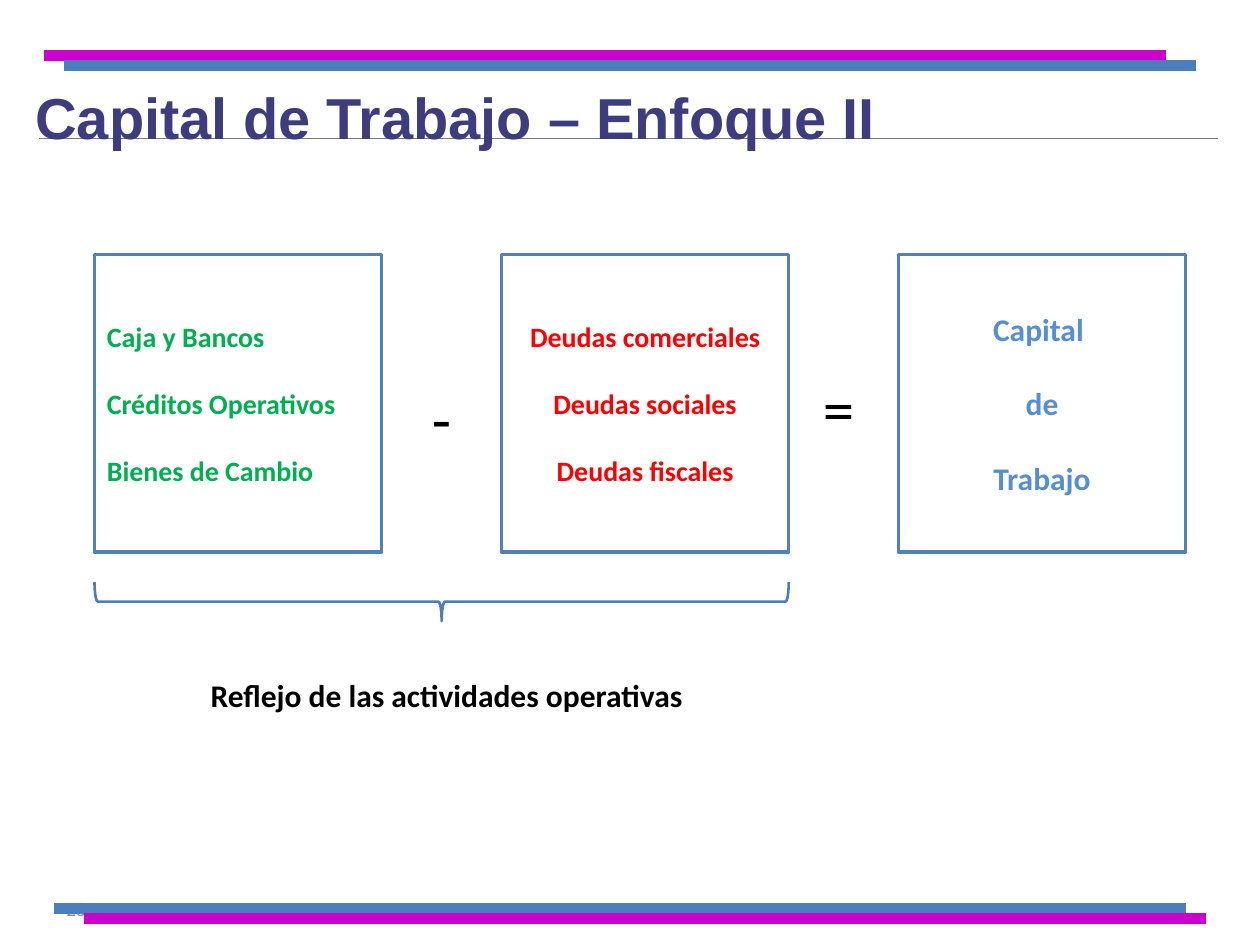
from dataclasses import dataclass

from lxml import etree
from pptx import Presentation
from pptx.dml.color import RGBColor
from pptx.enum import shapes, text
from pptx.oxml import ns
from pptx.util import Inches, Pt

ALIGN = text.PP_ALIGN


@dataclass(frozen=True)
class Theme:
    heading_font: str = "Arial"
    body_font: str = "Calibri"
    title: str = "3C3C7E"
    rule: str = "7B7979"
    blue: str = "4B7EBC"
    magenta: str = "CC00CC"
    border: str = "4F81BD"
    white: str = "FFFFFF"
    black: str = "000000"
    assets: str = "00B050"
    debts: str = "FF0000"
    result: str = "558ED5"
    muted: str = "8C8C8C"
    title_size: int = 33
    sign_size: int = 36
    large_size: int = 18
    item_size: int = 16
    number_size: int = 11


THEME = Theme()


def color(code):
    return RGBColor.from_string(code)


def write(box, lines, size, ink, bold=False, align=ALIGN.LEFT, gap=0,
          font=THEME.body_font):
    """Fill a shape with equally styled paragraphs, gap points apart."""
    frame = box.text_frame
    frame.word_wrap = True
    for index, line in enumerate(lines):
        para = frame.paragraphs[0] if index == 0 else frame.add_paragraph()
        para.text = line
        para.alignment = align
        if index:
            para.space_before = Pt(gap)
        para.font.name = font
        para.font.size = Pt(size)
        para.font.bold = bold
        para.font.color.rgb = color(ink)
    return frame


def add_label(page, left, top, width, height, label, size, ink, **style):
    box = page.shapes.add_textbox(
        Inches(left), Inches(top), Inches(width), Inches(height))
    return write(box, [label], size, ink, **style)


def add_line(page, left, right, y, ink, weight):
    line = page.shapes.add_connector(
        shapes.MSO_CONNECTOR.STRAIGHT,
        Inches(left), Inches(y), Inches(right), Inches(y))
    line.line.color.rgb = color(ink)
    line.line.width = Pt(weight)
    etree.SubElement(line._element.spPr, ns.qn("a:effectLst"))


def add_bars(page, bars):
    for left, right, y, ink in bars:
        add_line(page, left, right, y, ink, 6.75)


def add_header(page, left, top, width, height):
    add_line(page, left + 0.03, left + width + 0.03, top + 0.5, THEME.rule, 1)
    frame = add_label(page, left, top, width, height,
                      "Capital de Trabajo – Enfoque II", THEME.title_size,
                      THEME.title, bold=True, font=THEME.heading_font)
    frame.margin_left = frame.margin_right = frame.margin_bottom = 0
    frame.margin_top = Inches(0.05)
    add_bars(page, [(0.35, 9.25, 0.44, THEME.magenta),
                    (0.51, 9.49, 0.52, THEME.blue)])


def add_footer(page, left, top, width, height):
    frame = add_label(page, left, top, width, height, "28",
                      THEME.number_size, THEME.muted, align=ALIGN.RIGHT)
    frame.vertical_anchor = text.MSO_ANCHOR.MIDDLE
    add_bars(page, [(0.43, 9.41, 7.21, THEME.blue),
                    (0.67, 9.57, 7.29, THEME.magenta)])


def add_term(page, left, top, width, height, lines, size, ink, align):
    box = page.shapes.add_shape(
        shapes.MSO_SHAPE.RECTANGLE,
        Inches(left), Inches(top), Inches(width), Inches(height))
    box.shadow.inherit = False
    box.fill.solid()
    box.fill.fore_color.rgb = color(THEME.white)
    box.line.color.rgb = color(THEME.border)
    box.line.width = Pt(2)
    frame = write(box, lines, size, ink, bold=True, align=align,
                  gap=round(size * 1.18))
    frame.vertical_anchor = text.MSO_ANCHOR.MIDDLE


def add_equation(page, top, width, height):
    """Three boxed terms in a row, joined by a minus and an equals sign."""
    terms = [
        (0.75, ["Caja y Bancos", "Créditos Operativos", "Bienes de Cambio"],
         THEME.item_size, THEME.assets, ALIGN.LEFT),
        (3.98, ["Deudas comerciales", "Deudas sociales", "Deudas fiscales"],
         THEME.item_size, THEME.debts, ALIGN.CENTER),
        (7.13, ["Capital ", "de", "Trabajo"],
         THEME.large_size, THEME.result, ALIGN.CENTER),
    ]
    for left, *content in terms:
        add_term(page, left, top, width, height, *content)
    for left, drop, sign in [(3.19, 0.94, "-"), (6.34, 0.86, "=")]:
        add_label(page, left, top + drop, 0.63, 0.71, sign,
                  THEME.sign_size, THEME.black, align=ALIGN.CENTER)


def add_summary(page, left, top, width, depth):
    """A brace opening upward over the given width, with its caption."""
    brace = page.shapes.add_shape(
        shapes.MSO_SHAPE.RIGHT_BRACE,
        Inches(left + (width - depth) / 2), Inches(top + (depth - width) / 2),
        Inches(depth), Inches(width))
    brace.rotation = 90
    brace.shadow.inherit = False
    brace.fill.background()
    brace.line.color.rgb = color(THEME.blue)
    brace.line.width = Pt(1.5)
    add_label(page, left, top + 0.7, width + 0.08, 0.4,
              "Reflejo de las actividades operativas", THEME.large_size,
              THEME.black, bold=True, align=ALIGN.CENTER)


def main():
    deck = Presentation()
    deck.slide_width, deck.slide_height = Inches(10), Inches(7.5)
    page = deck.slides.add_slide(deck.slide_layouts[6])
    add_header(page, 0.28, 0.6, 9.36, 0.69)
    add_footer(page, 0.39, 7.19, 0.39, 0.05)
    add_equation(page, 2.02, 2.28, 2.36)
    add_summary(page, 0.75, 4.62, 5.51, 0.31)
    deck.save("out.pptx")


if __name__ == "__main__":
    main()
